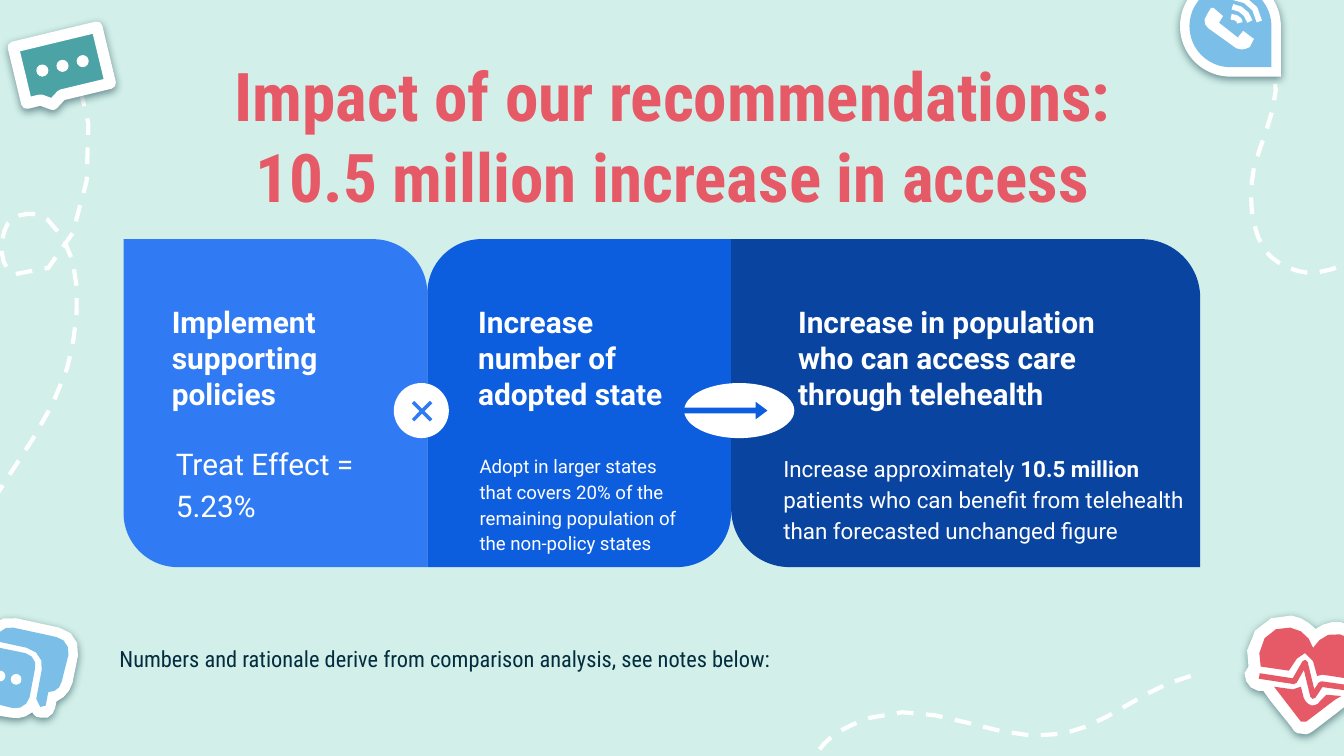
from pptx import Presentation
from pptx import util as u
from pptx.dml.color import RGBColor
from pptx.enum import dml, shapes, text
from pptx.oxml import parse_xml
from pptx.oxml.ns import nsdecls

CELL = 91440
COLS, ROWS = 100, 56.25
WHITE, SKY, ROSE, TEAL, INK = "FFFFFF", "7BBFE9", "E65A67", "4BA3A5", "032C3E"
PALE, LIGHT, MID, DARK = "D2F0E9", "307BF3", "0D5DDF", "0944A1"
KIND = shapes.MSO_SHAPE

TRAILS = [
    "M 3.7 3.1;C 8.9 5.9 6.7 22.2 1.1 20.4 -.1 20 -.1 17.7 .6 16.6 1.2 15.8 2.7 15.7 3.5 16.3"
    " 6.4 18.6 6 23.8 5 27.4 3.3 32.9 -1.5 37.1 -3 42.6",
    "M 88.6 50.3;C 85.2 51.1 82.5 53.9 79.1 54.6 74.5 55.6 69.4 51.8 64.8 53.4"
    " 63.3 53.9 61.7 54.6 60.8 56 59.7 57.6 59.1 59.6 57.8 61",
    "M 94.2 4.2;C 96 6.4 94 9.8 93.3 12.5 92.9 14.5 93 16.9 94.1 18.6"
    " 94.9 19.7 96.6 20.4 97.9 20.3 100.1 20 102 18.5 104.2 18.8",
]
CHAT = [
    (WHITE, "M 4.4 46.7 1.2 46;C .2 45.8 -.7 46.3 -1 47.2 -1.9 47.1 -2.8 47.7 -3 48.6;"
     "L -3.4 50.7 -2.9 52.3 -2.7 53.9 -1.5 53.9 -.4 53.2 .8 53.4;C 1.4 53.5 1.9 53.4 2.4 53;"
     "C 2.5 53.2 2.7 53.4 3 53.4 3.6 53.6 4 53.1 4.1 52.7;"
     "L 4.2 52.2;C 4.8 51.9 5.2 51.5 5.4 50.8;L 5.8 48.8;C 6 47.8 5.4 46.9 4.4 46.7"),
    (SKY, "M -1 48 -2.2 48.8 -2.7 50.8 -2 52 -2.3 53.2 -.6 52.3 1 52.7;"
     "C 1.5 52.8 2.1 52.4 2.2 51.9;L 2.6 49.8;C 2.8 49.3 2.4 48.7 1.9 48.6"),
    (SKY, "M 1 46.7;C .4 46.6 -.1 46.9 -.2 47.5;L -.3 47.7 2 48.2;C 2.8 48.4 3.3 49.1 3.1 49.9;"
     "L 2.7 52 3 52.6 3.4 52.5 3.6 51.5;C 4.1 51.5 4.5 51.2 4.6 50.7;"
     "L 5.1 48.7;C 5.2 48.1 4.8 47.5 4.2 47.4"),
]
HEART = [
    (WHITE, "M 92.6 50.1;C 92.6 50.7 93 51.3 93.6 51.4;L 94 51.4 94.5 52.1 96.1 54.1;"
     "C 96.3 54.5 96.5 54.6 96.9 54.6 97.2 54.7 97.4 54.6 97.7 54.4;L 99.4 53.1 100.4 52.3 102.1 51.5"
     " 102.3 49.7;C 102.5 48.1 101.4 46.5 99.8 46.3 99.1 46.2 98.4 46.4 97.9 46.8"
     " 97.4 46.3 96.8 45.9 96.1 45.8 94.5 45.6 93 46.7 92.8 48.4;L 92.9 49.6"),
    (ROSE, "M 96 46.7;C 94.9 46.5 93.8 47.3 93.7 48.6;L 93.8 49.6 95.9 49.9 96.5 49 97.1 48.6"
     " 97.7 49.2 98 50.3 98.4 50.2 101 50.6 101.5 49.6;C 101.6 48.4 100.8 47.3 99.7 47.2"
     " 98.7 47 98.1 47.6 97.7 48.2 97.5 47.5 96.9 46.8 96 46.7"),
    (ROSE, "M 96.8 51.1 96.2 51.3 94.8 51.1 96.8 53.7 97.2 53.7 99.3 52.1 99.8 51.8 98.7 51.7"
     " 98.2 52.2;C 98.1 52.4 97.9 52.5 97.6 52.5 97.3 52.4 97.1 52.2 97 51.9"),
]
PULSE = "M 93.7 50.3 96.3 50.7 97.1 49.3 97.7 51.8 98.3 50.9 101.1 51.3"
PHONE = ("M 90.3 .6 91 1.2 90.7 1.7 92.1 2.8 92.5 2.3 93.3 2.9 93 3.5;"
         "C 92.8 3.6 92.4 3.8 92 3.6;L 89.9 2.1;C 89.6 1.9 89.5 1.4 89.8 1.1;L 90.1 .6")
WAVES = ["M 91.6 1.25;C 92 1.25 92.3 1.5 92.25 1.7",
         "M 91.7 .5;C 92.3 .55 92.85 1 93 1.6",
         "M 91.8 -.2;C 92.7 -.15 93.6 .5 93.7 1.6"]


def tint(tone):
    return RGBColor.from_string(tone)


def paint(obj, fill=None, line=None, wide=1):
    if fill:
        obj.fill.solid()
        obj.fill.fore_color.rgb = tint(fill)
    else:
        obj.fill.background()
    if line:
        obj.line.color.rgb = tint(line)
        obj.line.width = u.Pt(wide)
    else:
        obj.line.fill.background()
    obj.shadow.inherit = False
    return obj


def shade(obj):
    props = obj._element.spPr
    props.remove(props.find("{*}effectLst"))
    props.append(parse_xml(
        f'<a:effectLst {nsdecls("a")}><a:outerShdw blurRad="57150" dist="19050" dir="5400000" '
        f'algn="bl" rotWithShape="0"><a:srgbClr val="{INK}"><a:alpha val="50000"/></a:srgbClr>'
        '</a:outerShdw></a:effectLst>'))


def place(slide, kind, box, fill, adj=(), turn=0, **line):
    obj = slide.shapes.add_shape(kind, *(round(n * CELL) for n in box))
    for k, val in enumerate(adj):
        obj.adjustments[k] = val
    obj.rotation = turn
    return paint(obj, fill, **line)


def bend(a, b, c, d, steps):
    for k in range(1, steps + 1):
        t = k / steps
        s = 1 - t
        yield tuple(s**3 * p + 3 * s * s * t * q + 3 * s * t * t * r + t**3 * e
                    for p, q, r, e in zip(a, b, c, d))


def draw(slide, route, fill=None, steps=3, **line):
    dots = []
    for part in route.split(";"):
        mode, *nums = part.split()
        pairs = [(float(x), float(y)) for x, y in zip(nums[::2], nums[1::2])]
        if mode == "C":
            for k in range(0, len(pairs), 3):
                dots += bend(dots[-1], *pairs[k:k + 3], steps)
        else:
            dots += pairs
    dots = [(x * CELL, y * CELL) for x, y in dots]
    pen = slide.shapes.build_freeform(*dots[0])
    pen.add_line_segments(dots[1:], close=bool(fill))
    return paint(pen.convert_to_shape(), fill, **line)


def write(slide, words, box, size=16, hue=WHITE, face="Roboto", bold=False,
          gap=None, align=text.PP_ALIGN.LEFT, hold=text.MSO_ANCHOR.TOP):
    frame = slide.shapes.add_textbox(*(round(n * CELL) for n in box)).text_frame
    frame.word_wrap = True
    frame.vertical_anchor = hold
    frame.margin_left = frame.margin_right = frame.margin_top = frame.margin_bottom = CELL
    for k, row in enumerate(words.split("\n")):
        para = frame.paragraphs[0] if k == 0 else frame.add_paragraph()
        para.alignment = align
        if gap:
            para.line_spacing = gap
        for j, bit in enumerate(row.split("**")):
            run = para.add_run()
            run.text = bit
            run.font.name, run.font.size = face, u.Pt(size)
            run.font.bold = bold or j % 2 == 1
            run.font.color.rgb = tint(hue)


def icon(slide, parts):
    for k, (hue, route) in enumerate(parts):
        obj = draw(slide, route, hue)
        if k == 0:
            shade(obj)


def decor(slide):
    for route in TRAILS:
        trail = draw(slide, route, steps=6, line=WHITE, wide=2.25)
        trail.line.dash_style = dml.MSO_LINE.DASH
    icon(slide, CHAT)
    icon(slide, HEART)
    draw(slide, PULSE, line=ROSE, wide=3)
    shade(place(slide, KIND.TEAR, (87.8, -1.8, 7.5, 7.5), WHITE, turn=90))
    place(slide, KIND.TEAR, (88.5, -1.1, 6.1, 6.1), SKY, turn=90)
    draw(slide, PHONE, WHITE)
    for route in WAVES:
        draw(slide, route, line=WHITE, wide=3)
    shade(place(slide, KIND.ROUNDED_RECTANGULAR_CALLOUT, (1.4, 2.7, 6.4, 4.3), TEAL,
                (-.208, .625, 0), 346.5, line=WHITE, wide=6))
    for k in range(3):
        place(slide, KIND.OVAL, (2.7 + 1.5 * k, 4.8 - .35 * k, .9, .9), WHITE)
    for k in range(2):
        place(slide, KIND.OVAL, (-.4 + 1.2 * k, 49.9 + .25 * k, .8, .8), WHITE)


def main():
    deck = Presentation()
    deck.slide_width, deck.slide_height = round(COLS * CELL), round(ROWS * CELL)
    slide = deck.slides.add_slide(deck.slide_layouts[6])
    back = slide.background.fill
    back.solid()
    back.fore_color.rgb = tint(PALE)
    decor(slide)

    write(slide, "Impact of our recommendations:\n10.5 million increase in access",
          (7.9, 6.9, 84.3, 6.3), size=36, hue=ROSE, face="Roboto Condensed", bold=True,
          align=text.PP_ALIGN.CENTER, hold=text.MSO_ANCHOR.MIDDLE)

    panels = [
        (9.2, 22.6, LIGHT, (0, .178), "Implement supporting policies", (11.8, 16.9),
         "Treat Effect = 5.23%", (12.1, 31.8, 16.9, 8), 16),
        (31.8, 22.6, MID, (.178, 0), "Increase number of adopted state", (34.6, 16.9),
         "Adopt in larger states that covers 20% of the remaining population of the non-policy states",
         (34.7, 32.6, 16.9, 8), 10),
        (54.4, 34.9, DARK, (0, .178), "Increase in population who can access care through telehealth",
         (58.4, 28.1), "Increase approximately **10.5 million **patients who can benefit from "
         "telehealth than forecasted unchanged figure", (57.3, 32.6, 32.6, 8.7), 12),
    ]
    for left, wide, hue, adj, head, (start, span), body, box, size in panels:
        place(slide, KIND.ROUND_2_DIAG_RECTANGLE, (left, 17.8, wide, 24.4), hue, adj)
        write(slide, head, (start, 21.6, span, 7.2), bold=True)
        write(slide, body, box, size=size, gap=1.15)

    place(slide, KIND.OVAL, (50.9, 28.5, 8.2, 4.1), WHITE)
    place(slide, KIND.RIGHT_ARROW, (50.9, 29.9, 6.2, 1.3), MID, (.32, .67))
    place(slide, KIND.OVAL, (29.3, 28.5, 4.1, 4.1), WHITE)
    place(slide, KIND.MATH_PLUS, (30.1, 29.3, 2.6, 2.6), LIGHT, (.099,), 45)
    write(slide, "Numbers and rationale derive from comparison analysis, see notes below:",
          (7.9, 47, 82.1, 4), size=12, hue=INK, face="Roboto Condensed")
    deck.save("out.pptx")


if __name__ == "__main__":
    main()
